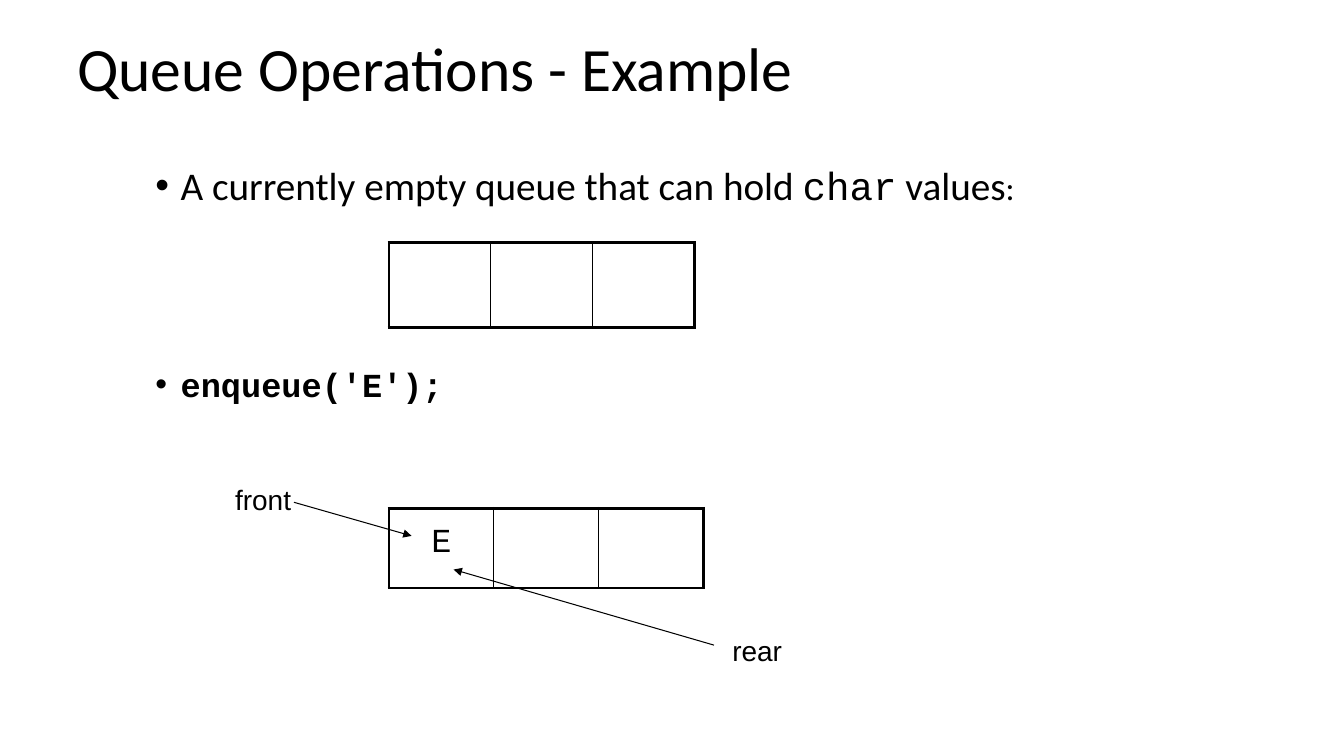
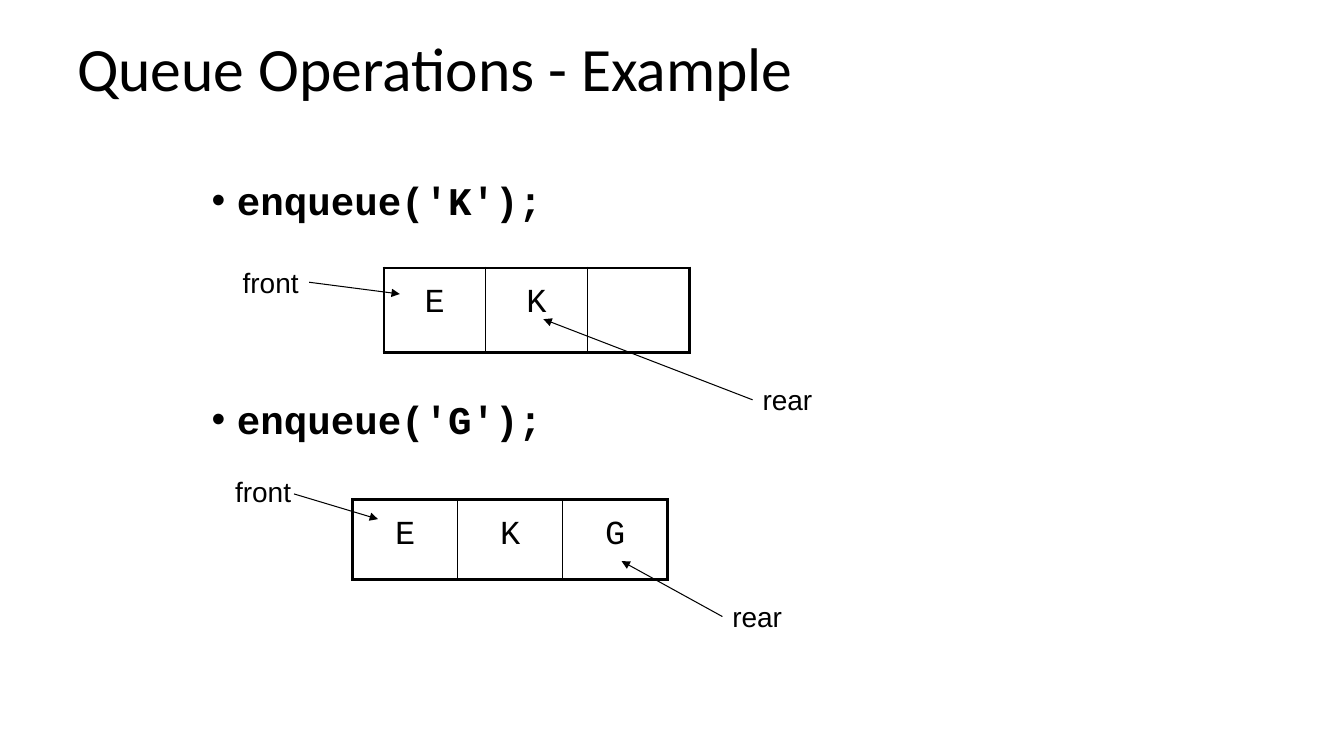
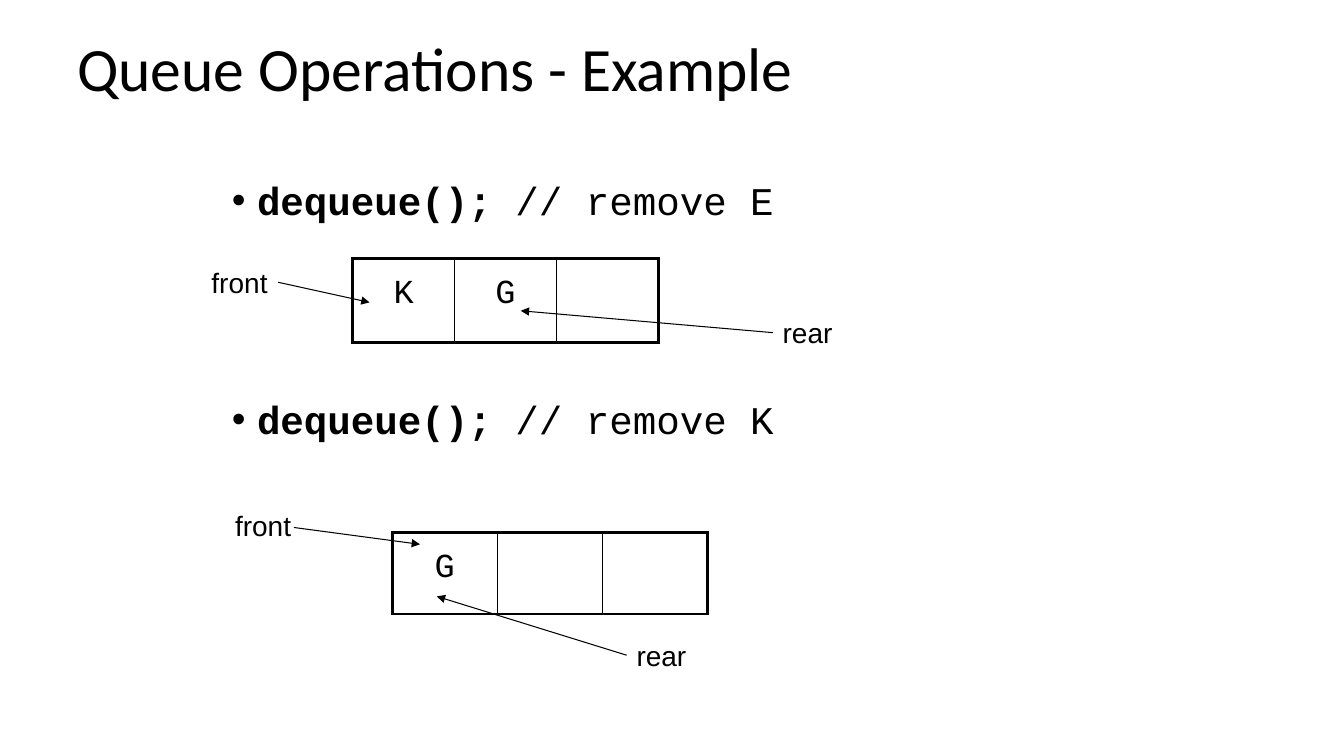
import dataclasses

import pptx
import pptx.dml.color
import pptx.enum.dml
import pptx.enum.shapes
import pptx.enum.text
import pptx.oxml
import pptx.oxml.ns
import pptx.util
from lxml import etree

PP = pptx.enum.text.PP_ALIGN
ANCHOR = pptx.enum.text.MSO_ANCHOR
AUTOSIZE = pptx.enum.text.MSO_AUTO_SIZE


@dataclasses.dataclass(frozen=True)
class Theme:
    ink: str = "000000"
    paper: str = "FFFFFF"
    prose: str = "Calibri"
    code: str = "Courier New"
    label: str = "Arial"
    title_size: float = 44
    lead_size: float = 28
    code_size: float = 24
    label_size: float = 20
    outer_line: float = 2.25
    inner_line: float = 1
    pointer_line: float = 0.75


THEME = Theme()
INK = pptx.dml.color.RGBColor.from_string(THEME.ink)

# The slide is a grid of 160 columns by 90 rows of square units
COLUMNS, ROWS = 160, 90
UNIT = pptx.util.Inches(7.5) / ROWS
TITLE_AREA = (8, 1, 133.3, 15)
TITLE = "Queue Operations - Example"
SLOTS = 3
LABEL_HEIGHT = 5.2
FRONT_WIDTH, REAR_WIDTH = 9.1, 8.4
LEFT_SIDE, RIGHT_SIDE = 1, 3


def grid(*units):
    """Turn grid units into slide lengths."""
    return [round(unit * UNIT) for unit in units]


def place(shape, area):
    shape.left, shape.top, shape.width, shape.height = grid(*area)


def add_text(paragraph, text, font=THEME.prose, size=THEME.lead_size, bold=False):
    """Append one formatted run to a paragraph."""
    run = paragraph.add_run()
    run.text = text
    run.font.name = font
    run.font.size = pptx.util.Pt(size)
    run.font.bold = bold
    run.font.color.rgb = INK


def add_bullet(paragraph, runs, space_before):
    paragraph.line_spacing = 0.9
    paragraph.space_before = pptx.util.Pt(space_before)
    properties = paragraph._p.get_or_add_pPr()
    indent = pptx.util.Inches(0.25)
    properties.set("marL", str(indent))
    properties.set("indent", str(-indent))
    for tag, name, value in (("a:buFont", "typeface", THEME.label),
                             ("a:buChar", "char", "•")):
        etree.SubElement(properties, pptx.oxml.ns.qn(tag)).set(name, value)
    for text, text_format in runs:
        add_text(paragraph, text, **text_format)


def add_slide(deck, body_area, bullets, gap):
    """Add a slide with the shared title and bullets set apart by gap points."""
    slide = deck.slides.add_slide(deck.slide_layouts[1])
    heading, body = slide.placeholders
    heading_frame = heading.text_frame
    heading_frame.vertical_anchor = ANCHOR.MIDDLE
    heading_frame.auto_size = AUTOSIZE.NONE
    heading_line = heading_frame.paragraphs[0]
    heading_line.alignment = PP.LEFT
    heading_line.line_spacing = 0.9
    add_text(heading_line, TITLE, size=THEME.title_size)

    place(body, body_area)
    frame = body.text_frame
    frame.auto_size = AUTOSIZE.NONE
    for index, runs in enumerate(bullets):
        paragraph = frame.add_paragraph() if index else frame.paragraphs[0]
        add_bullet(paragraph, runs, gap if index else 10)
    return slide


def set_borders(cell, widths):
    """Draw the cell's borders, given as side letter to width in points."""
    properties = cell._tc.get_or_add_tcPr()
    for side, width in widths.items():
        properties.append(pptx.oxml.parse_xml(
            f'<a:ln{side} {pptx.oxml.ns.nsdecls("a")} w="{pptx.util.Pt(width)}">'
            f'<a:solidFill><a:srgbClr val="{THEME.ink}"/></a:solidFill></a:ln{side}>'))


def add_queue(slide, at, slot_width, height, values=""):
    """Draw the queue as a one-row table with one value to a slot."""
    frame = slide.shapes.add_table(
        1, SLOTS, *grid(*at, SLOTS * slot_width, height))
    table = frame.table
    table.first_row = table.horz_banding = False
    outer, inner = THEME.outer_line, THEME.inner_line
    for index, cell in enumerate(table.iter_cells()):
        set_borders(cell, {"L": inner if index else outer,
                           "R": inner if index < SLOTS - 1 else outer,
                           "T": outer, "B": outer})
        cell.fill.background()
        if index < len(values):
            paragraph = cell.text_frame.paragraphs[0]
            paragraph.alignment = PP.CENTER
            paragraph.line_spacing = 1.3
            add_text(paragraph, values[index], font=THEME.code, size=THEME.code_size)


def add_pointer(slide, text, at, width, side, tip, start=None):
    """Label a slot; the arrow leaves the label's side unless start is given."""
    label = slide.shapes.add_textbox(*grid(*at, width, LABEL_HEIGHT))
    label.text_frame.word_wrap = False
    label.text_frame.auto_size = AUTOSIZE.SHAPE_TO_FIT_TEXT
    add_text(label.text_frame.paragraphs[0], text,
             font=THEME.label, size=THEME.label_size)

    arrow = slide.shapes.add_connector(
        pptx.enum.shapes.MSO_CONNECTOR.STRAIGHT, *grid(*(start or at), *tip))
    if start is None:
        arrow.begin_connect(label, side)
    arrow.line.color.rgb = INK
    arrow.line.width = pptx.util.Pt(THEME.pointer_line)
    head = etree.SubElement(arrow.line._get_or_add_ln(), pptx.oxml.ns.qn("a:tailEnd"))
    head.set("type", "triangle")
    etree.SubElement(arrow._element.spPr, pptx.oxml.ns.qn("a:effectLst"))


def add_front(slide, at, tip, start=None):
    add_pointer(slide, "front", at, FRONT_WIDTH, RIGHT_SIDE, tip, start)


def add_rear(slide, at, tip, start=None):
    add_pointer(slide, "rear", at, REAR_WIDTH, LEFT_SIDE, tip, start)


def first_enqueue(deck):
    code = dict(font=THEME.code)
    call = dict(font=THEME.code, size=THEME.code_size, bold=True)
    slide = add_slide(deck, (17.3, 19.2, 119.6, 67.8), [
        [("A currently empty queue that can hold ", {}), ("char", code),
         (" values", {}), (":", dict(size=THEME.code_size))],
        [("enqueue('E');", call)],
    ], gap=114)
    add_queue(slide, (46.3, 28.9), 12.12, 10.1)
    add_queue(slide, (46.3, 60.5), 12.5, 9.5, "E")
    add_front(slide, (26.8, 56.9), tip=(49, 63.8), start=(35, 59.8))
    add_rear(slide, (86, 74.8), tip=(54, 67.8), start=(85, 76.8))


def more_enqueues(deck):
    call = dict(font=THEME.code, bold=True)
    slide = add_slide(deck, (24, 21, 103, 61), [
        [(f"enqueue('{value}');", call)] for value in "KG"], gap=126)
    # After enqueue('K')
    add_queue(slide, (45.7, 31.9), 12.12, 10.1, "EK")
    add_front(slide, (27.7, 31), tip=(47.6, 35))
    add_rear(slide, (89.6, 45), tip=(64.7, 38))
    # After enqueue('G')
    add_queue(slide, (42, 59.5), 12.5, 9.5, "EKG")
    add_front(slide, (26.8, 55.9), tip=(45, 61.8), start=(35, 58.8))
    add_rear(slide, (86, 70.8), tip=(74, 66.8))


def dequeues(deck):
    call = dict(font=THEME.code, bold=True)
    remark = dict(font=THEME.code)
    slide = add_slide(deck, (26.4, 21, 107.3, 55.8), [
        [("dequeue(); ", call), (f"// remove {value}", remark)]
        for value in "EK"], gap=126)
    # After removing E
    add_queue(slide, (42, 30.8), 12.12, 10, "KG")
    add_front(slide, (24, 31), tip=(44, 36))
    add_rear(slide, (92, 37), tip=(62, 37))
    # After removing K
    add_queue(slide, (46.7, 63.4), 12.5, 9.7, "G")
    add_front(slide, (26.8, 59.9), tip=(50, 64.8), start=(35, 62.8))
    add_rear(slide, (74.6, 75.4), tip=(52, 71))


def main():
    deck = pptx.Presentation()
    deck.slide_width, deck.slide_height = grid(COLUMNS, ROWS)
    # Shared background and title position
    paper = deck.slide_master.background.fill
    paper.solid()
    paper.fore_color.rgb = pptx.dml.color.RGBColor.from_string(THEME.paper)
    place(deck.slide_layouts[1].placeholders[0], TITLE_AREA)

    first_enqueue(deck)
    more_enqueues(deck)
    dequeues(deck)
    deck.save("out.pptx")


if __name__ == "__main__":
    main()
